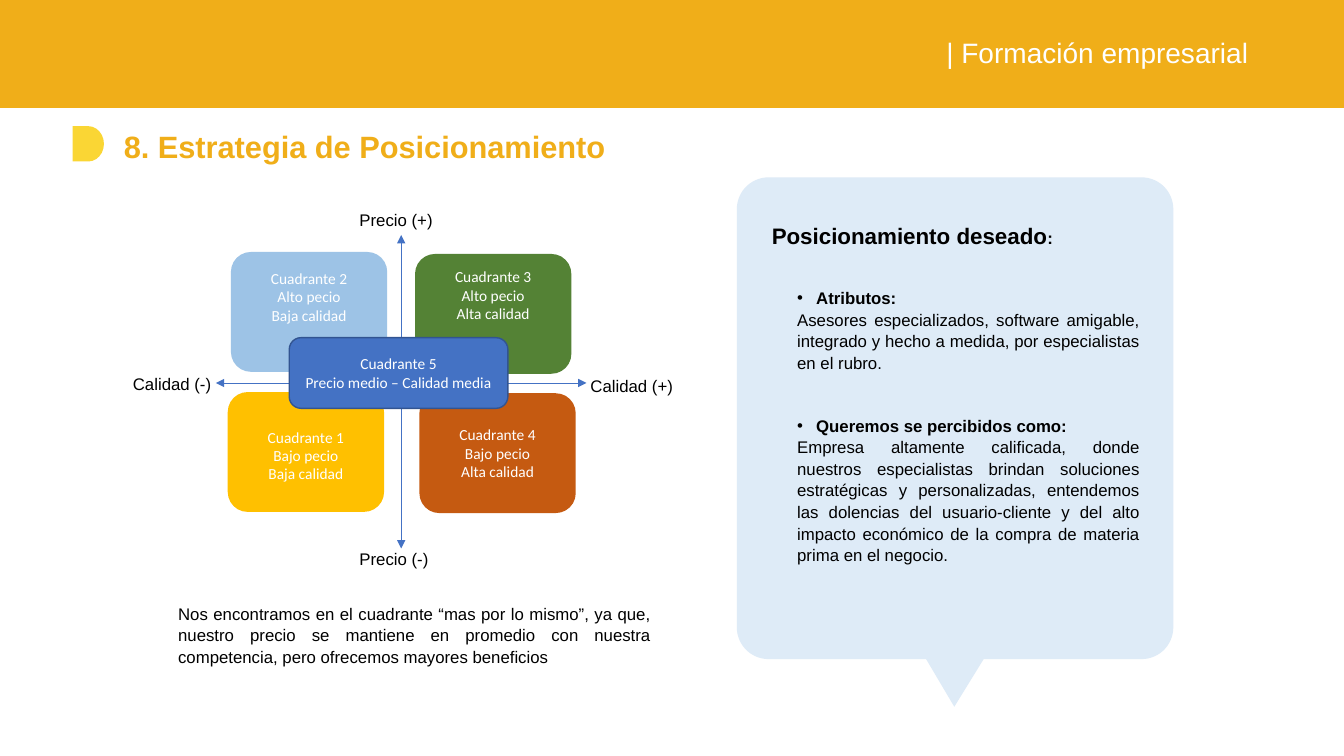
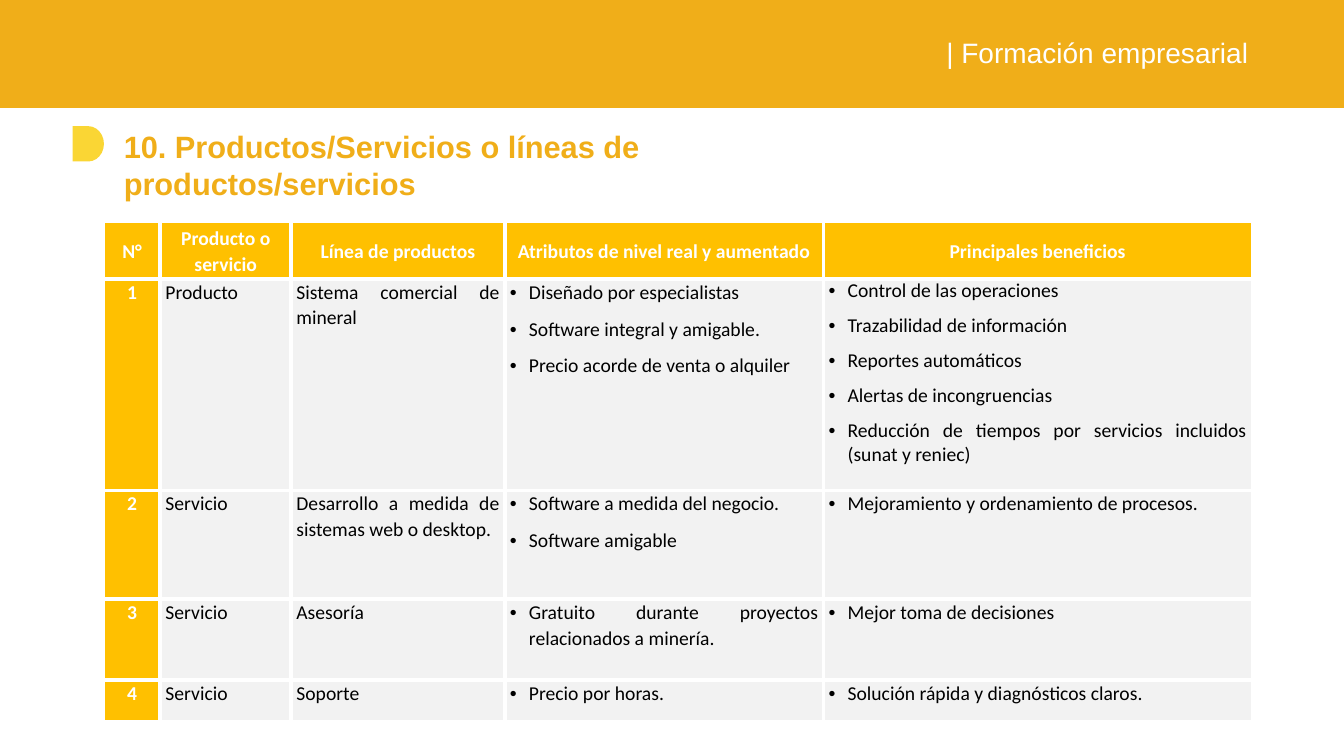
from dataclasses import dataclass, replace
from math import cos, radians, sin

from lxml import etree
from pptx import Presentation
from pptx.dml.color import RGBColor
from pptx.enum.shapes import MSO_CONNECTOR, MSO_SHAPE
from pptx.enum.text import MSO_ANCHOR, PP_ALIGN
from pptx.oxml.ns import qn
from pptx.util import Cm, Pt

LEFT, CENTER, JUSTIFY = PP_ALIGN.LEFT, PP_ALIGN.CENTER, PP_ALIGN.JUSTIFY
TOP, MIDDLE = MSO_ANCHOR.TOP, MSO_ANCHOR.MIDDLE
RECTANGLE, ROUNDED = MSO_SHAPE.RECTANGLE, MSO_SHAPE.ROUNDED_RECTANGLE
DELAY = MSO_SHAPE.FLOWCHART_DELAY
STRAIGHT = MSO_CONNECTOR.STRAIGHT

WHITE, BLACK = "FFFFFF", "000000"
GOLD, YELLOW, AMBER = "F0AE19", "FAD634", "FFC000"
BLUE, DARK_BLUE, PALE_BLUE = "4472C4", "325491", "DEEBF7"
LIGHT_GRAY = "F2F2F2"
SLIDE_WIDTH, SLIDE_HEIGHT = 33.87, 19.05


@dataclass(frozen=True)
class Area:
    """Position and size in centimetres."""
    left: float
    top: float
    width: float
    height: float

    def lengths(self) -> tuple:
        return Cm(self.left), Cm(self.top), Cm(self.width), Cm(self.height)


@dataclass(frozen=True)
class Style:
    """Paragraph look: sizes and gaps in points, indents in centimetres."""
    size: float = 12
    color: str = BLACK
    font: str = "Arial"
    bold: bool = False
    align: PP_ALIGN = LEFT
    spacing: float = 1.0
    before: float = 0
    after: float = 0
    indent: float = 0
    hanging: float = 0


@dataclass(frozen=True)
class Insets:
    left: float = 0.25
    top: float = 0.13
    right: float = 0.25
    bottom: float = 0.13


@dataclass(frozen=True)
class Quadrant:
    left: float
    top: float
    color: str
    lines: tuple[str, ...]
    lift: float  # raises the text when positive, lowers it when negative


@dataclass(frozen=True)
class ProductRow:
    height: float
    kind: str
    line: str
    attributes: tuple[str, ...]
    benefits: tuple[str, ...]
    benefit_spacing: float = 1.07


HEADER_TEXT = Style(20, WHITE)
TITLE_TEXT = Style(22, GOLD, bold=True, indent=0.25)
QUADRANT_TEXT = Style(11, WHITE, "Calibri", align=CENTER)
BODY_TEXT = Style(align=JUSTIFY, spacing=1.07)
CALLOUT_TEXT = replace(BODY_TEXT, indent=1.27)
CALLOUT_BULLET = replace(BODY_TEXT, bold=True, indent=1.75, hanging=0.48)
CALLOUT_HEADING = Style(16, bold=True, align=JUSTIFY, spacing=1.5, after=20.7, indent=0.63)
CELL_TEXT = Style(14, BLACK, "Calibri", align=JUSTIFY, spacing=1.07, after=8)
CELL_BULLET = replace(CELL_TEXT, indent=0.48, hanging=0.48)
CELL_HEADING = replace(CELL_TEXT, color=WHITE, bold=True, align=CENTER)

QUADRANT_WIDTH, QUADRANT_HEIGHT = 3.94, 3.02
QUADRANTS = (
    Quadrant(5.82, 6.35, "9DC3E6", ("Cuadrante 2", "Alto pecio", "Baja calidad"), 0.77),
    Quadrant(10.46, 6.4, "548235", ("Cuadrante 3", "Alto pecio", "Alta calidad"), 0.95),
    Quadrant(5.74, 9.88, AMBER, ("Cuadrante 1", "Bajo pecio", "Baja calidad"), -0.17),
    Quadrant(10.57, 9.91, "C55A11", ("Cuadrante 4", "Bajo pecio", "Alta calidad"), 0),
)
AXES = ((10.11, 5.92, 10.11, 13.82), (5.44, 9.65, 14.78, 9.65))
AXIS_LABELS = (
    ("Precio (+)", 8.81, 5.13),
    ("Precio (-)", 8.81, 13.67),
    ("Calidad (+)", 14.63, 9.3),
    ("Calidad (-)", 3.1, 9.25),
)

COLUMN_WIDTHS = (1.42, 3.3, 5.38, 8.03, 10.8)
HEADING_HEIGHT = 1.42
HEADINGS = ("N°", "Producto o servicio", "Línea de productos",
            "Atributos de nivel real y aumentado", "Principales beneficios")
PRODUCT_ROWS = (
    ProductRow(
        5.33, "Producto", "Sistema comercial de mineral",
        ("Diseñado por especialistas", "Software integral y amigable.",
         "Precio acorde de venta o alquiler"),
        ("Control de las operaciones", "Trazabilidad de información",
         "Reportes automáticos", "Alertas de incongruencias",
         "Reducción de tiempos por servicios incluidos (sunat y reniec)"),
        benefit_spacing=1.0),
    ProductRow(
        2.74, "Servicio", "Desarrollo a medida de sistemas web o desktop.",
        ("Software a medida del negocio.", "Software amigable"),
        ("Mejoramiento y ordenamiento de procesos.",)),
    ProductRow(
        2.03, "Servicio", "Asesoría",
        ("Gratuito durante proyectos relacionados a minería.",),
        ("Mejor toma de decisiones",)),
    ProductRow(
        1.02, "Servicio", "Soporte", ("Precio por horas.",),
        ("Solución rápida y diagnósticos claros.",)),
)


def rgb(color: str) -> RGBColor:
    return RGBColor.from_string(color)


# Text
def format_paragraph(para, style: Style) -> None:
    properties = para._p.get_or_add_pPr()
    properties.set("marL", str(Cm(style.indent)))
    properties.set("indent", str(-Cm(style.hanging)))
    if style.hanging:
        etree.SubElement(properties, qn("a:buFont"), typeface="Arial")
        etree.SubElement(properties, qn("a:buChar"), char="•")
    para.alignment = style.align
    para.line_spacing = style.spacing
    para.space_before, para.space_after = Pt(style.before), Pt(style.after)
    para.font.name, para.font.size = style.font, Pt(style.size)
    para.font.bold = style.bold
    para.font.color.rgb = rgb(style.color)


def write(frame, items: list[tuple[str, Style]]) -> None:
    for number, (text, style) in enumerate(items):
        para = frame.add_paragraph() if number else frame.paragraphs[0]
        format_paragraph(para, style)
        para.add_run().text = text


def prepare_frame(frame, insets: Insets, anchor: MSO_ANCHOR) -> None:
    frame.word_wrap = True
    frame.vertical_anchor = anchor
    frame.margin_left, frame.margin_right = Cm(insets.left), Cm(insets.right)
    frame.margin_top, frame.margin_bottom = Cm(insets.top), Cm(insets.bottom)


def add_text(page, area: Area, items: list[tuple[str, Style]], insets: Insets = Insets()):
    box = page.shapes.add_textbox(*area.lengths())
    prepare_frame(box.text_frame, insets, TOP)
    write(box.text_frame, items)
    return box


# Shapes
def paint(shape, color: str, outline: str = "") -> None:
    shape.shadow.inherit = False
    shape.fill.solid()
    shape.fill.fore_color.rgb = rgb(color)
    if outline:
        shape.line.color.rgb = rgb(outline)
        shape.line.width = Pt(1)
    else:
        shape.line.fill.background()


def add_block(page, kind: MSO_SHAPE, area: Area, color: str, outline: str = ""):
    shape = page.shapes.add_shape(kind, *area.lengths())
    paint(shape, color, outline)
    return shape


def add_quadrant(page, area: Area, color: str, lines: tuple[str, ...],
                 lift: float = 0, outline: str = "") -> None:
    frame = add_block(page, ROUNDED, area, color, outline).text_frame
    insets = Insets(0.13, 0.13 + max(-lift, 0), 0.13, 0.13 + max(lift, 0))
    prepare_frame(frame, insets, MIDDLE)
    write(frame, [(line, QUADRANT_TEXT) for line in lines])


def add_axis(page, start_x: float, start_y: float, end_x: float, end_y: float) -> None:
    axis = page.shapes.add_connector(STRAIGHT, Cm(start_x), Cm(start_y), Cm(end_x), Cm(end_y))
    axis.line.color.rgb = rgb(BLUE)
    axis.line.width = Pt(0.5)
    outline = axis.line._get_or_add_ln()
    for end in ("a:headEnd", "a:tailEnd"):
        etree.SubElement(outline, qn(end), type="triangle")
    etree.SubElement(axis._element.spPr, qn("a:effectLst"))


def add_callout(page, area: Area, radius: float, tail: list[tuple[float, float]]) -> None:
    """Rounded panel whose tail points run from right to left along the bottom."""
    right, bottom = area.left + area.width, area.top + area.height
    corners = (
        (area.left + radius, area.top + radius, 180),
        (right - radius, area.top + radius, 270),
        (right - radius, bottom - radius, 0),
        (area.left + radius, bottom - radius, 90),
    )
    points = []
    for x, y, start in corners:
        if start == 90:
            points += tail
        points += [(x + radius * cos(radians(angle)), y + radius * sin(radians(angle)))
                   for angle in range(start, start + 91, 6)]
    outline = [(Cm(x), Cm(y)) for x, y in points]
    builder = page.shapes.build_freeform(*outline[0], scale=1.0)
    builder.add_line_segments(outline[1:], close=True)
    paint(builder.convert_to_shape(), PALE_BLUE)


# Shared page parts
def add_page(deck, title: str):
    page = deck.slides.add_slide(deck.slide_layouts[6])
    add_block(page, RECTANGLE, Area(0, 0, SLIDE_WIDTH, 2.72), GOLD)
    add_text(page, Area(23.6, 0.76, 9, 1.2), [("| Formación empresarial", HEADER_TEXT)])
    add_block(page, DELAY, Area(1.83, 3.18, 0.79, 0.89), YELLOW)
    add_text(page, Area(2.62, 2.97, 18.77, 1.78), [(title, TITLE_TEXT)],
             Insets(0.25, 0.25, 0.25, 0.25))
    return page


# Positioning page
def build_positioning(deck) -> None:
    page = add_page(deck, "8. Estrategia de Posicionamiento")
    add_callout(page, Area(18.57, 4.47, 11, 12.14), 0.8,
                [(24.79, 16.61), (24.05, 17.81), (23.34, 16.61)])
    box = add_text(page, Area(18.57, 5.13, 10.41, 13.2), [
        ("Posicionamiento deseado", CALLOUT_HEADING),
        ("Atributos:", replace(CALLOUT_BULLET, spacing=1.5)),
        ("Asesores especializados, software amigable, integrado y hecho a medida, "
         "por especialistas en el rubro.", CALLOUT_TEXT),
        ("Queremos se percibidos como:", replace(CALLOUT_BULLET, before=29.5)),
        ("Empresa altamente calificada, donde nuestros especialistas brindan soluciones "
         "estratégicas y personalizadas, entendemos las dolencias del usuario-cliente y "
         "del alto impacto económico de la compra de materia prima en el negocio.",
         CALLOUT_TEXT),
    ])
    colon = box.text_frame.paragraphs[0].add_run()
    colon.text = ":"
    colon.font.size = Pt(12)

    for axis in AXES:
        add_axis(page, *axis)
    for quadrant in QUADRANTS:
        area = Area(quadrant.left, quadrant.top, QUADRANT_WIDTH, QUADRANT_HEIGHT)
        add_quadrant(page, area, quadrant.color, quadrant.lines, quadrant.lift)
    add_quadrant(page, Area(7.29, 8.51, 5.51, 1.78), BLUE,
                 ("Cuadrante 5", "Precio medio – Calidad media"), outline=DARK_BLUE)
    for label, left, top in AXIS_LABELS:
        add_text(page, Area(left, top, 3.02, 0.76), [(label, replace(BODY_TEXT, align=LEFT))])
    add_text(page, Area(4.24, 15.04, 12.42, 1.85), [
        ("Nos encontramos en el cuadrante “mas por lo mismo”, ya que, nuestro precio se "
         "mantiene en promedio con nuestra competencia, pero ofrecemos mayores beneficios",
         BODY_TEXT)])


# Products page
def fill_cell(cell, items: list[tuple[str, Style]], color: str, outer: dict[str, bool],
              anchor: MSO_ANCHOR) -> None:
    properties = cell._tc.get_or_add_tcPr()
    for side, is_outer in outer.items():
        border = etree.SubElement(properties, qn(f"a:ln{side}"), w=str(Pt(1 if is_outer else 3)))
        solid = etree.SubElement(border, qn("a:solidFill"))
        etree.SubElement(solid, qn("a:srgbClr"), val=WHITE)
    cell.fill.solid()
    cell.fill.fore_color.rgb = rgb(color)
    cell.vertical_anchor = anchor
    cell.margin_left = cell.margin_right = Cm(0.13)
    cell.margin_top = cell.margin_bottom = 0
    write(cell.text_frame, items)


def build_products(deck) -> None:
    page = add_page(deck, "10. Productos/Servicios o líneas de productos/servicios")
    heights = [HEADING_HEIGHT] + [row.height for row in PRODUCT_ROWS]
    area = Area(2.62, 5.61, sum(COLUMN_WIDTHS), sum(heights))
    table = page.shapes.add_table(len(heights), len(COLUMN_WIDTHS), *area.lengths()).table
    table.horz_banding = False
    for column, width in zip(table.columns, COLUMN_WIDTHS):
        column.width = Cm(width)
    for table_row, height in zip(table.rows, heights):
        table_row.height = Cm(height)

    contents = [[[(heading, CELL_HEADING)] for heading in HEADINGS]]
    for number, row in enumerate(PRODUCT_ROWS, start=1):
        benefit_style = replace(CELL_BULLET, spacing=row.benefit_spacing)
        contents.append([
            [(str(number), CELL_HEADING)],
            [(row.kind, CELL_TEXT)],
            [(row.line, CELL_TEXT)],
            [(text, CELL_BULLET) for text in row.attributes],
            [(text, benefit_style) for text in row.benefits],
        ])
    last_row, last_column = len(heights) - 1, len(COLUMN_WIDTHS) - 1
    for y, cells in enumerate(contents):
        for x, items in enumerate(cells):
            outer = {"L": x == 0, "R": x == last_column, "T": y == 0, "B": y == last_row}
            color = AMBER if x == 0 or y == 0 else LIGHT_GRAY
            fill_cell(table.cell(y, x), items, color, outer, TOP if y else MIDDLE)


def main() -> None:
    deck = Presentation()
    deck.slide_width, deck.slide_height = Cm(SLIDE_WIDTH), Cm(SLIDE_HEIGHT)
    build_positioning(deck)
    build_products(deck)
    deck.save("out.pptx")


if __name__ == "__main__":
    main()
